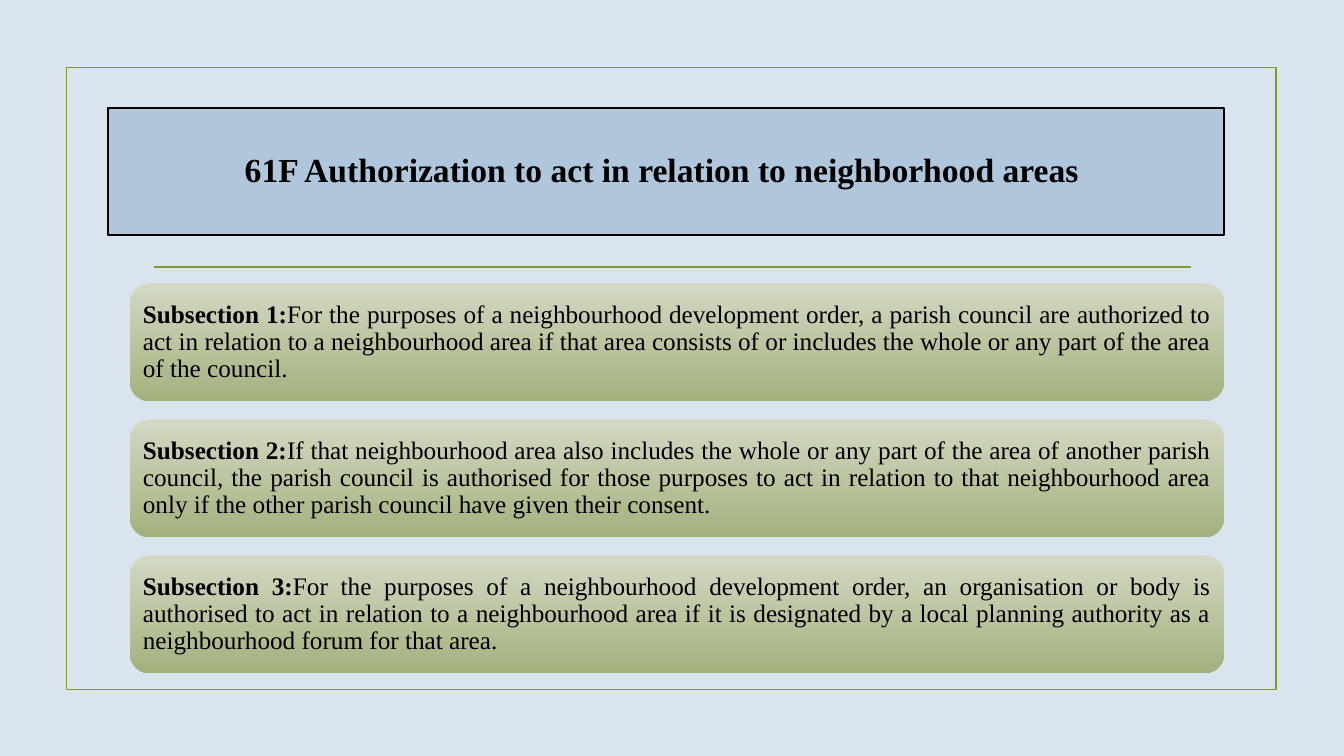
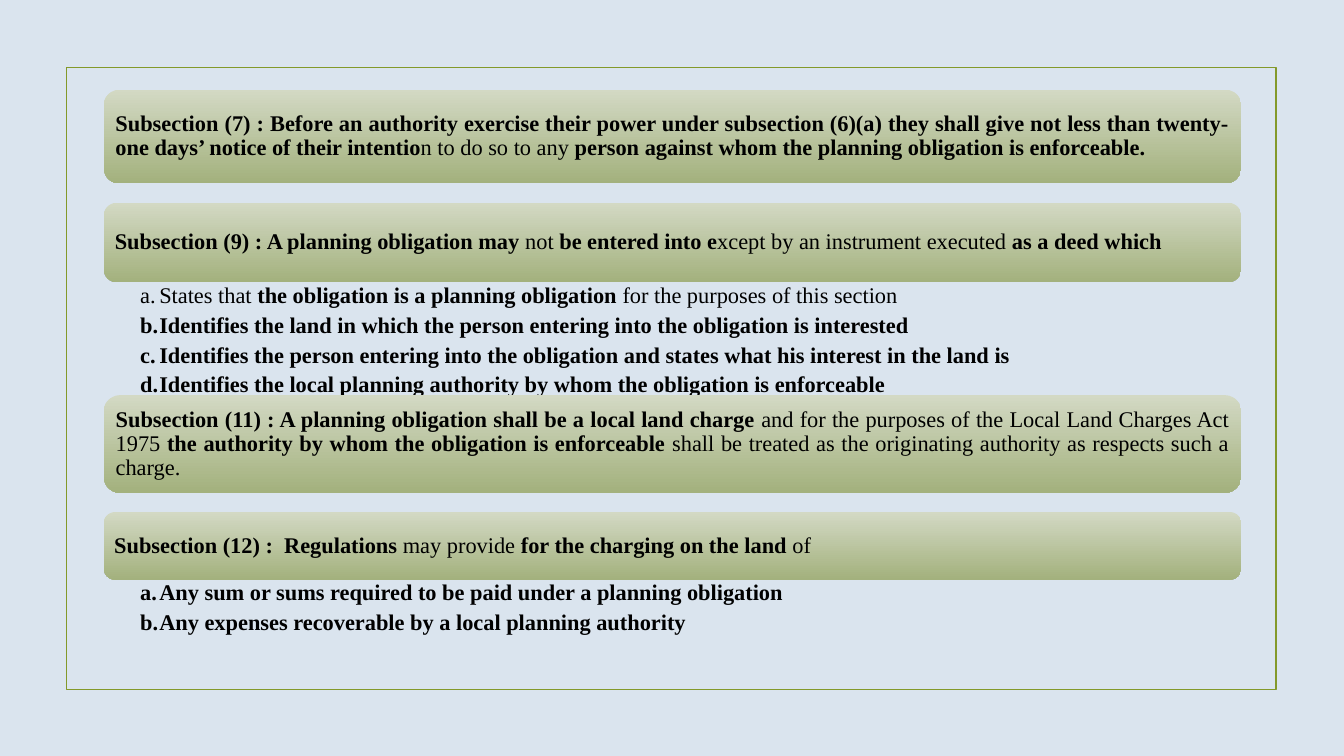
from lxml.etree import SubElement
from pptx import Presentation
from pptx.dml.color import RGBColor
from pptx.enum.shapes import MSO_CONNECTOR, MSO_SHAPE
from pptx.enum.text import MSO_ANCHOR, PP_ALIGN
from pptx.oxml.ns import qn
from pptx.util import Inches, Pt

# Shared look
PAGE_W, PAGE_H = 13.33, 7.5
FONT = "Times New Roman"
INK, GREEN, BLUE, PAPER = "000000", "83992A", "AFC6DD", "DAE4EE"
CARD_SHADES = ("D3D9C4", "A3B17D")
FRAME = (0.66, 0.67, 12, 6.17)
TITLE_BAND = (1.07, 1.07, 11.07, 1.26)
RULE = (1.53, 11.81, 2.65)
CARD_INSETS = (0.07, 0.07, 0.07, 0.07)
LIST_INSETS = (0.36, 0.02, 0.12, 0.02)
LIST_INDENT = 0.19

# Content: text between ** marks is bold; each part has a height in inches
SLIDES = [
    {
        "title": "61F Authorization to act in relation to neighborhood areas ",
        "left": 1.29, "top": 2.81, "width": 10.85, "gap": 0.18, "size": 18,
        "sections": [
            {"height": 1.17, "text": "**Subsection 1:**For the purposes of a neighbourhood development order, a parish council are authorized to act in relation to a neighbourhood area if that area consists of or includes the whole or any part of the area of the council."},
            {"height": 1.17, "text": "**Subsection 2:**If that neighbourhood area also includes the whole or any part of the area of another parish council, the parish council is authorised for those purposes to act in relation to that neighbourhood area only if the other parish council have given their consent."},
            {"height": 1.17, "text": "**Subsection 3:**For the purposes of a neighbourhood development order, an organisation or body is authorised to act in relation to a neighbourhood area if it is designated by a local planning authority as a neighbourhood forum for that area."},
        ],
    },
    {
        "left": 1.03, "top": 0.89, "width": 11.28, "gap": 0.19, "size": 16,
        "sections": [
            {"height": 0.93, "text": "**Subsection (7) : Before an authority exercise their power under subsection (6)(a) they shall give not less than twenty-one days’ notice of their intentio**n to do so to any **person against whom the planning obligation is enforceable.**"},
            {"height": 0.79, "text": "**Subsection (9) : A planning obligation may** not **be entered into e**xcept by an instrument executed **as a deed which**",
             "list_height": 1.12, "points": [
                 "States that **the obligation is a planning obligation **for the purposes of this section",
                 "**Identifies the land in which the person entering into the obligation is interested**",
                 "**Identifies the person entering into the obligation and states what his interest in the land is**",
                 "**Identifies the local planning authority by whom the obligation is enforceable**"]},
            {"height": 0.97, "text": "**Subsection (11) : A planning obligation shall be a local land charge **and for the purposes of the Local Land Charges Act 1975 **the authority by whom the obligation is enforceable** shall be treated as the originating authority as respects such a charge."},
            {"height": 0.67, "text": "**Subsection (12) :  Regulations** may provide **for the charging on the land **of",
             "list_height": 1.09, "points": [
                 "**Any sum or sums required to be paid under a planning obligation**",
                 "**Any expenses recoverable by a local planning authority**"]},
        ],
    },
]


def color(value):
    return RGBColor.from_string(value)


def set_all(target, values):
    for name, value in values.items():
        setattr(target, name, value)


def add_box(slide, kind, box, fill=None, line=None):
    shape = slide.shapes.add_shape(kind, *map(Inches, box))
    shape.shadow.inherit = False
    if fill is None:
        shape.fill.background()
    elif isinstance(fill, tuple):
        shape.fill.gradient()
        shape.fill.gradient_angle = 270
        for stop, shade, position in zip(shape.fill.gradient_stops, fill, (0, 1)):
            set_all(stop, {"position": position})
            stop.color.rgb = color(shade)
    else:
        shape.fill.solid()
        shape.fill.fore_color.rgb = color(fill)
    if line:
        shape.line.color.rgb = color(line)
        shape.line.width = Pt(1.25)
    else:
        shape.line.fill.background()
    return shape


def write(shape, texts, size, insets=CARD_INSETS, anchor=MSO_ANCHOR.MIDDLE,
          align=PP_ALIGN.JUSTIFY, lettered=False):
    frame = shape.text_frame
    sides = ("margin_left", "margin_top", "margin_right", "margin_bottom")
    set_all(frame, {"word_wrap": True, "vertical_anchor": anchor,
                    **dict(zip(sides, map(Inches, insets)))})
    for index, text in enumerate(texts):
        paragraph = frame.add_paragraph() if index else frame.paragraphs[0]
        set_all(paragraph, {"alignment": align, "line_spacing": 0.9,
                            "space_after": Pt(4 if lettered else 0)})
        if lettered:
            props = paragraph._p.get_or_add_pPr()
            props.set("marL", str(Inches(LIST_INDENT)))
            props.set("indent", str(-Inches(LIST_INDENT)))
            SubElement(props, qn("a:buFont"), typeface="+mj-lt")
            SubElement(props, qn("a:buAutoNum"), type="alphaLcPeriod")
        for part, words in enumerate(text.split("**")):
            if words:
                run = paragraph.add_run()
                run.text = words
                set_all(run.font, {"name": FONT, "size": Pt(size), "bold": part % 2 == 1})
                run.font.color.rgb = color(INK)


def add_title(slide, title):
    band = add_box(slide, MSO_SHAPE.RECTANGLE, TITLE_BAND, BLUE, INK)
    write(band, [f"**{title}**"], 24, align=PP_ALIGN.CENTER)
    left, right, y = map(Inches, RULE)
    rule = slide.shapes.add_connector(MSO_CONNECTOR.STRAIGHT, left, y, right, y)
    rule.line.color.rgb = color(GREEN)
    rule.line.width = Pt(1.25)
    SubElement(rule._element.spPr, qn("a:effectLst"))


def add_sections(slide, page):
    left, top, width = page["left"], page["top"], page["width"]
    for section in page["sections"]:
        card = add_box(slide, MSO_SHAPE.ROUNDED_RECTANGLE,
                       (left, top, width, section["height"]), CARD_SHADES)
        write(card, [section["text"]], page["size"])
        top += section["height"]
        # A list fills the space between its card and the next one
        if "points" in section:
            height = section["list_height"]
            points = slide.shapes.add_textbox(*map(Inches, (left, top, width, height)))
            write(points, section["points"], page["size"], LIST_INSETS,
                  MSO_ANCHOR.TOP, lettered=True)
            top += height
        else:
            top += page["gap"]


def main():
    deck = Presentation()
    set_all(deck, {"slide_width": Inches(PAGE_W), "slide_height": Inches(PAGE_H)})
    for page in SLIDES:
        slide = deck.slides.add_slide(deck.slide_layouts[6])
        slide.background.fill.solid()
        slide.background.fill.fore_color.rgb = color(PAPER)
        add_box(slide, MSO_SHAPE.RECTANGLE, FRAME, line=GREEN)
        if "title" in page:
            add_title(slide, page["title"])
        add_sections(slide, page)
    deck.save("out.pptx")


if __name__ == "__main__":
    main()
